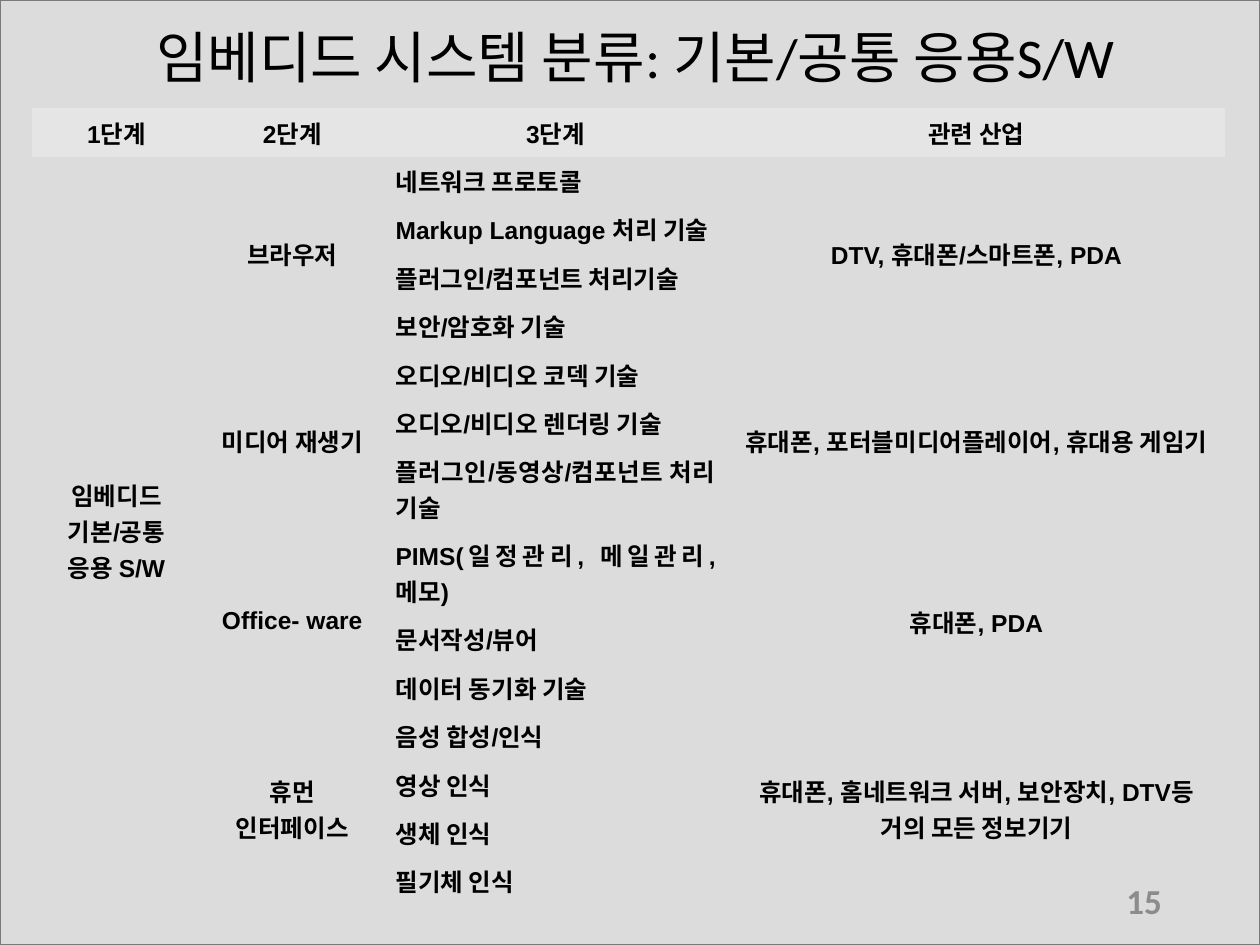
from pptx import Presentation
from pptx.dml.color import RGBColor
from pptx.enum.shapes import MSO_SHAPE
from pptx.enum.text import MSO_ANCHOR, PP_ALIGN
from pptx.oxml.ns import qn
from pptx.util import Inches, Pt

COLORS = {"back": "DCDCDC", "frame": "7A7A7A", "header": "E5E5E5",
          "text": "000000", "number": "8C8C8C"}
NO_STYLE = "{2D5ABB26-0587-4C30-8999-92F81FD0307C}"

TITLE = "임베디드 시스템 분류: 기본/공통 응용S/W"
PAGE = "15"
HEADERS = ["1단계", "2단계", "3단계", "관련 산업"]
LEVEL_1 = "임베디드 기본/공통 응용 S/W"
# level 2, level 3 technologies, related industries
GROUPS = [
    ("브라우저",
     ["네트워크 프로토콜", "Markup Language 처리 기술",
      "플러그인/컴포넌트 처리기술", "보안/암호화 기술"],
     "DTV, 휴대폰/스마트폰, PDA"),
    ("미디어 재생기",
     ["오디오/비디오 코덱 기술", "오디오/비디오 렌더링 기술",
      "플러그인/동영상/컴포넌트 처리 기술"],
     "휴대폰, 포터블미디어플레이어, 휴대용 게임기"),
    ("Office- ware",
     ["PIMS(일정관리, 메일관리, 메모)", "문서작성/뷰어", "데이터 동기화 기술"],
     "휴대폰, PDA"),
    ("휴먼 인터페이스",
     ["음성 합성/인식", "영상 인식", "생체 인식", "필기체 인식"],
     "휴대폰, 홈네트워크 서버, 보안장치, DTV등 거의 모든 정보기기"),
]
LEFT_ALIGNED = {"보안/암호화 기술", "문서작성/뷰어", "데이터 동기화 기술", "필기체 인식"}
COL_WIDTHS = [1.35, 1.44, 2.74, 3.94]
ROW_HEIGHT, TALL_ROW, TALL_HEIGHT = 0.37, 7, 0.62


def rgb(name):
    return RGBColor.from_string(COLORS[name])


def put_text(tf, text, size, font, color="text", bold=False, align=PP_ALIGN.CENTER):
    tf.text = text
    tf.word_wrap = True
    tf.vertical_anchor = MSO_ANCHOR.MIDDLE
    p = tf.paragraphs[0]
    p.alignment = align
    p.font.size, p.font.name, p.font.bold = Pt(size), font, bold
    p.font.color.rgb = rgb(color)
    return p


def place(sp, left, top, width, height):
    sp.left, sp.top = Inches(left), Inches(top)
    sp.width, sp.height = Inches(width), Inches(height)


def fill_cell(row, col, text, rows=1, align=PP_ALIGN.CENTER):
    """Write a cell, merged downwards over the given number of rows."""
    cell = table.cell(row, col)
    if rows > 1:
        cell.merge(table.cell(row + rows - 1, col))
    put_text(cell.text_frame, text, 14, "Arial", bold=True, align=align)
    cell.vertical_anchor = MSO_ANCHOR.MIDDLE


prs = Presentation()
prs.slide_width, prs.slide_height = Inches(10), Inches(7.5)
s = prs.slides.add_slide(prs.slide_layouts[5])

back = s.shapes.add_shape(MSO_SHAPE.RECTANGLE, 0, 0, prs.slide_width, prs.slide_height)
back.shadow.inherit = False
back.fill.solid()
back.fill.fore_color.rgb = rgb("back")
back.line.color.rgb = rgb("frame")
back.line.width = Pt(1)
s.shapes.element.insert(2, back.element)  # behind the title

title = s.shapes.title
place(title, 0.12, 0.09, 9.84, 0.77)
put_text(title.text_frame, TITLE, 32, "Calibri").line_spacing = 0.9

row_count = 1 + sum(len(techs) for _, techs, _ in GROUPS)
frame = s.shapes.add_table(row_count, len(HEADERS), Inches(0.25), Inches(0.86),
                           Inches(sum(COL_WIDTHS)), Inches(ROW_HEIGHT * row_count))
table = frame.table
next(frame.element.iter(qn("a:tableStyleId"))).text = NO_STYLE
for column, width in zip(table.columns, COL_WIDTHS):
    column.width = Inches(width)
for i, row in enumerate(table.rows):
    row.height = Inches(TALL_HEIGHT if i == TALL_ROW else ROW_HEIGHT)
    for cell in row.cells:
        if i == 0:
            cell.fill.solid()
            cell.fill.fore_color.rgb = rgb("header")
        else:
            cell.fill.background()

for col, header in enumerate(HEADERS):
    fill_cell(0, col, header)
fill_cell(1, 0, LEVEL_1, row_count - 1)
top = 1
for level_2, techs, industries in GROUPS:
    fill_cell(top, 1, level_2, len(techs))
    fill_cell(top, 3, industries, len(techs))
    for i, tech in enumerate(techs):
        fill_cell(top + i, 2, tech,
                  align=PP_ALIGN.LEFT if tech in LEFT_ALIGNED else PP_ALIGN.JUSTIFY)
    top += len(techs)

number = s.shapes.add_textbox(0, 0, 0, 0)
place(number, 7.07, 6.95, 2.25, 0.4)
put_text(number.text_frame, PAGE, 20, "Calibri", "number", True, PP_ALIGN.RIGHT)

prs.save("out.pptx")
